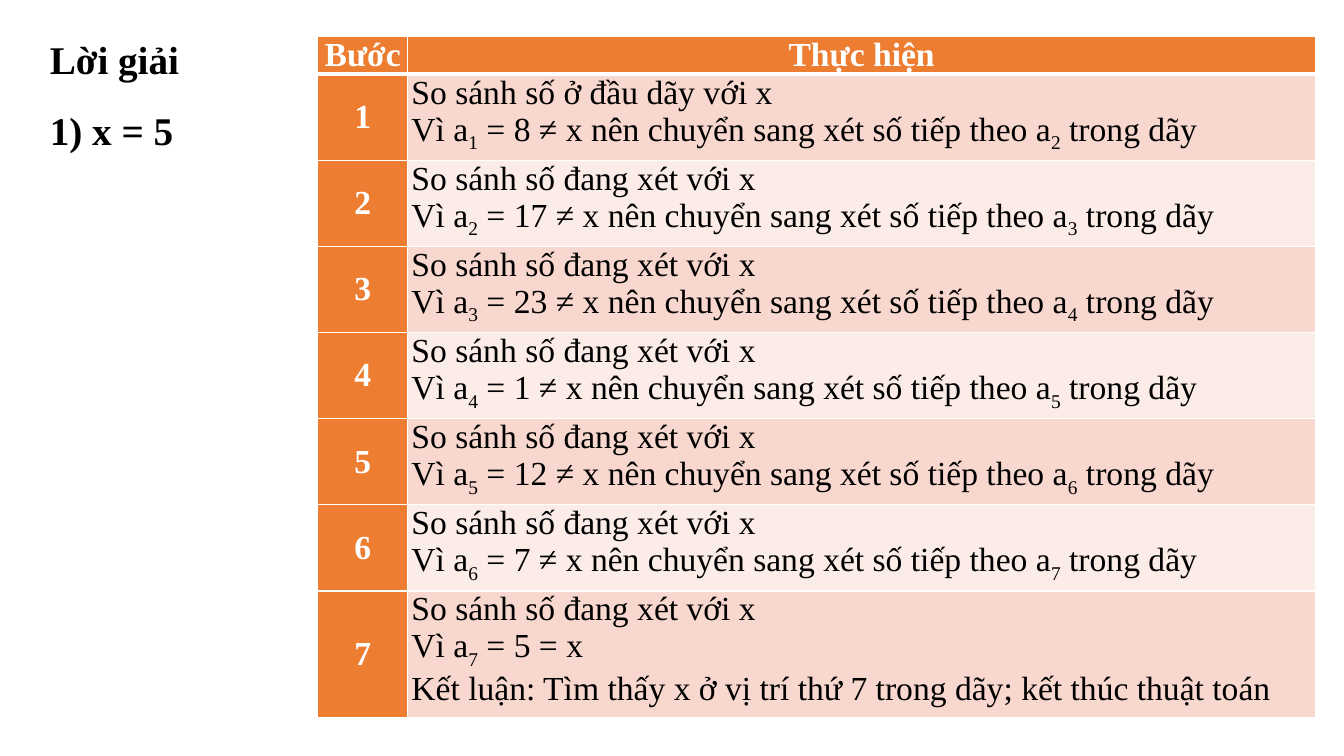
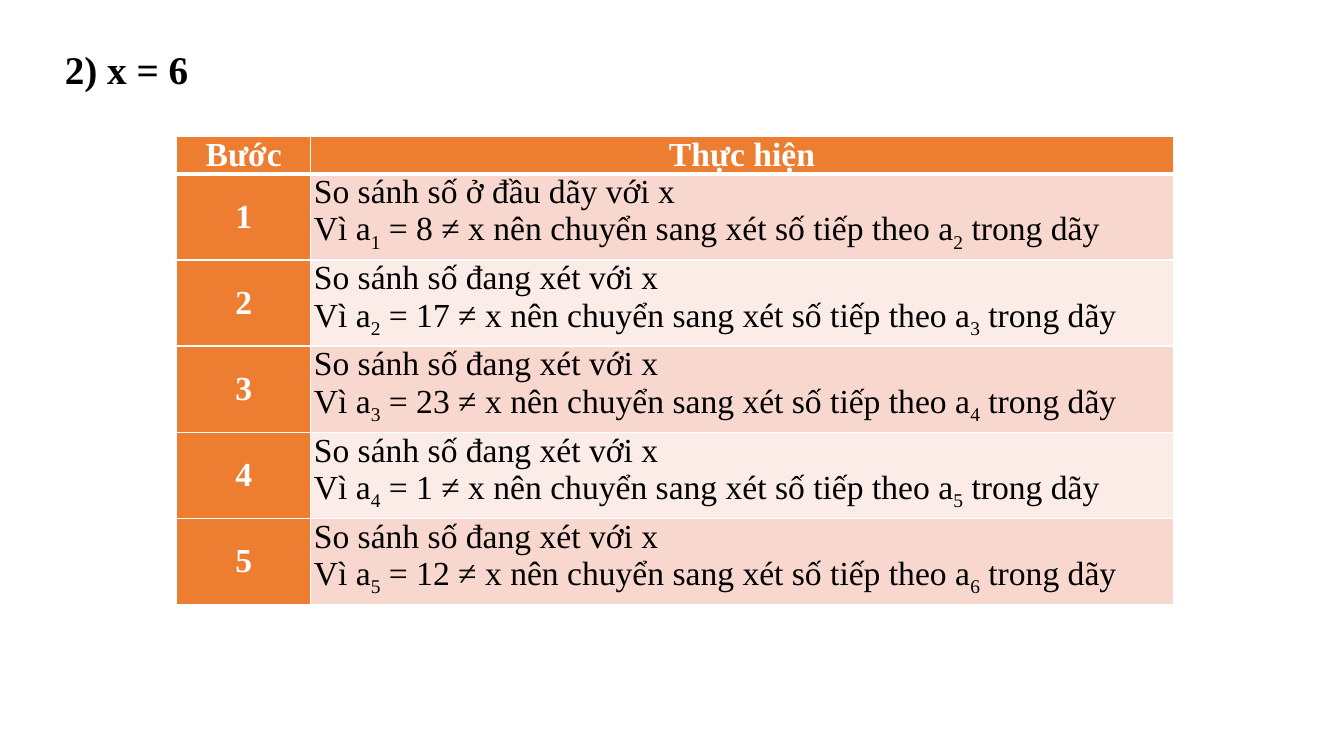
"""Build two slides that trace a linear search step by step."""
from dataclasses import dataclass

from lxml import etree
from pptx import Presentation
from pptx.dml.color import RGBColor
from pptx.enum.text import MSO_ANCHOR, MSO_AUTO_SIZE, PP_ALIGN
from pptx.oxml.ns import qn
from pptx.util import Cm, Pt

CENTER, JUSTIFY = PP_ALIGN.CENTER, PP_ALIGN.JUSTIFY
TOP, MIDDLE = MSO_ANCHOR.TOP, MSO_ANCHOR.MIDDLE
NO_AUTOFIT = MSO_AUTO_SIZE.NONE
TITLE_ONLY = 5


@dataclass(frozen=True)
class Theme:
    """Colours, font, type sizes and line widths shared by the slides."""
    font: str = "Times New Roman"
    title_size: int = 28
    table_size: int = 24
    text: str = "000000"
    light: str = "FFFFFF"
    accent: str = "ED7D31"
    bands: tuple = ("F8D7CE", "FCECE8")
    thin: int = 1
    thick: int = 3


THEME = Theme()
NUMBERS = (8, 17, 23, 1, 12, 7, 5)
HEADERS = ("Bước", "Thực hiện")
HEADER_H = 0.95
ROW_H = {2: 2.17, 3: 3.18}


def add_run(p, text, size, color, bold=False, subscript=False):
    """Append one formatted run to a paragraph."""
    r = p.add_run()
    r.text = text
    r.font.name = THEME.font
    r.font.size = Pt(size)
    r.font.bold = bold
    r.font.color.rgb = RGBColor.from_string(color)
    if subscript:
        r._r.get_or_add_rPr().set("baseline", "-25000")


def get_paragraph(tf, index):
    """Return the first paragraph of a frame, or append a new one."""
    return tf.add_paragraph() if index else tf.paragraphs[0]


def set_title(slide, lines, left, top, width, height):
    """Place the title and fill it with one paragraph per line."""
    sp = slide.shapes.title
    sp.left, sp.top, sp.width, sp.height = map(Cm, (left, top, width, height))
    tf = sp.text_frame
    tf.word_wrap = True
    tf.auto_size = NO_AUTOFIT
    tf.vertical_anchor = TOP
    for i, line in enumerate(lines):
        p = get_paragraph(tf, i)
        p.alignment = JUSTIFY
        p.line_spacing = 1.15
        p.space_before = p.space_after = Pt(6)
        add_run(p, line, THEME.title_size, THEME.text, bold=True)


def set_borders(cell, top, bottom):
    """Draw light borders around a cell with the given top and bottom widths."""
    tc_pr = cell._tc.get_or_add_tcPr()
    widths = {"L": THEME.thin, "R": THEME.thin, "T": top, "B": bottom}
    for side, width in widths.items():
        ln = etree.SubElement(tc_pr, qn(f"a:ln{side}"), w=str(Pt(width)))
        fill = etree.SubElement(ln, qn("a:solidFill"))
        etree.SubElement(fill, qn("a:srgbClr"), val=THEME.light)


def style_cell(cell, row, fill, margin, anchor):
    """Set borders, fill, margins and anchor of a cell."""
    set_borders(cell, THEME.thick if row == 1 else THEME.thin,
                THEME.thick if row == 0 else THEME.thin)
    cell.fill.solid()
    cell.fill.fore_color.rgb = RGBColor.from_string(fill)
    cell.margin_left = cell.margin_right = Cm(margin)
    cell.margin_top = cell.margin_bottom = 0
    cell.vertical_anchor = anchor


def fill_label(cell, row, text, margin):
    """Write a bold, centred label on the accent colour."""
    style_cell(cell, row, THEME.accent, margin, MIDDLE)
    p = cell.text_frame.paragraphs[0]
    p.alignment = CENTER
    add_run(p, text, THEME.table_size, THEME.light, bold=True)


def fill_step(cell, row, lines, margin):
    """Write step lines, where every second part of a line is a subscript."""
    style_cell(cell, row, THEME.bands[(row - 1) % 2], margin, TOP)
    for i, line in enumerate(lines):
        p = get_paragraph(cell.text_frame, i)
        p.alignment = JUSTIFY
        for j, part in enumerate(line):
            add_run(p, part, THEME.table_size, THEME.text, subscript=j % 2 == 1)


def search_steps(target, count):
    """Return the lines of the first steps in the search for the target."""
    steps = []
    for n, value in enumerate(NUMBERS[:count], 1):
        place = "ở đầu dãy" if n == 1 else "đang xét"
        lines = [(f"So sánh số {place} với x",)]
        if value == target:
            lines += [
                ("Vì a", str(n), f" = {value} = x"),
                (f"Kết luận: Tìm thấy x ở vị trí thứ {n} trong dãy; "
                 "kết thúc thuật toán",),
            ]
        else:
            lines.append(
                ("Vì a", str(n),
                 f" = {value} ≠ x nên chuyển sang xét số tiếp theo a",
                 str(n + 1), " trong dãy"))
        steps.append(lines)
    return steps


def add_steps_table(slide, steps, left, top, col_widths, margin):
    """Add a table with a header row and one row for each step."""
    heights = [HEADER_H] + [ROW_H[len(lines)] for lines in steps]
    frame = slide.shapes.add_table(
        len(heights), len(HEADERS), Cm(left), Cm(top),
        Cm(sum(col_widths)), Cm(sum(heights)))
    table = frame.table
    for col, width in zip(table.columns, col_widths):
        col.width = Cm(width)
    for row, height in zip(table.rows, heights):
        row.height = Cm(height)
    for i, header in enumerate(HEADERS):
        fill_label(table.cell(0, i), 0, header, margin)
    for n, lines in enumerate(steps, 1):
        fill_label(table.cell(n, 0), n, str(n), margin)
        fill_step(table.cell(n, 1), n, lines, margin)


def add_slide(prs):
    """Add a slide with only a title placeholder."""
    return prs.slides.add_slide(prs.slide_layouts[TITLE_ONLY])


def main():
    """Build and save the presentation."""
    prs = Presentation()
    prs.slide_width, prs.slide_height = Cm(33.87), Cm(19.05)

    found = add_slide(prs)
    set_title(found, ("Lời giải", "1) x = 5"), 1, 0.58, 6.68, 3.43)
    add_steps_table(found, search_steps(5, 7), 8.01, 0.92, (2.26, 22.89), 0.1)

    missing = add_slide(prs)
    set_title(missing, ("2) x = 6",), 1.38, 0.84, 4, 1.52)
    add_steps_table(missing, search_steps(6, 5), 4.45, 3.43, (3.38, 21.74), 0.08)

    prs.save("out.pptx")


main()
